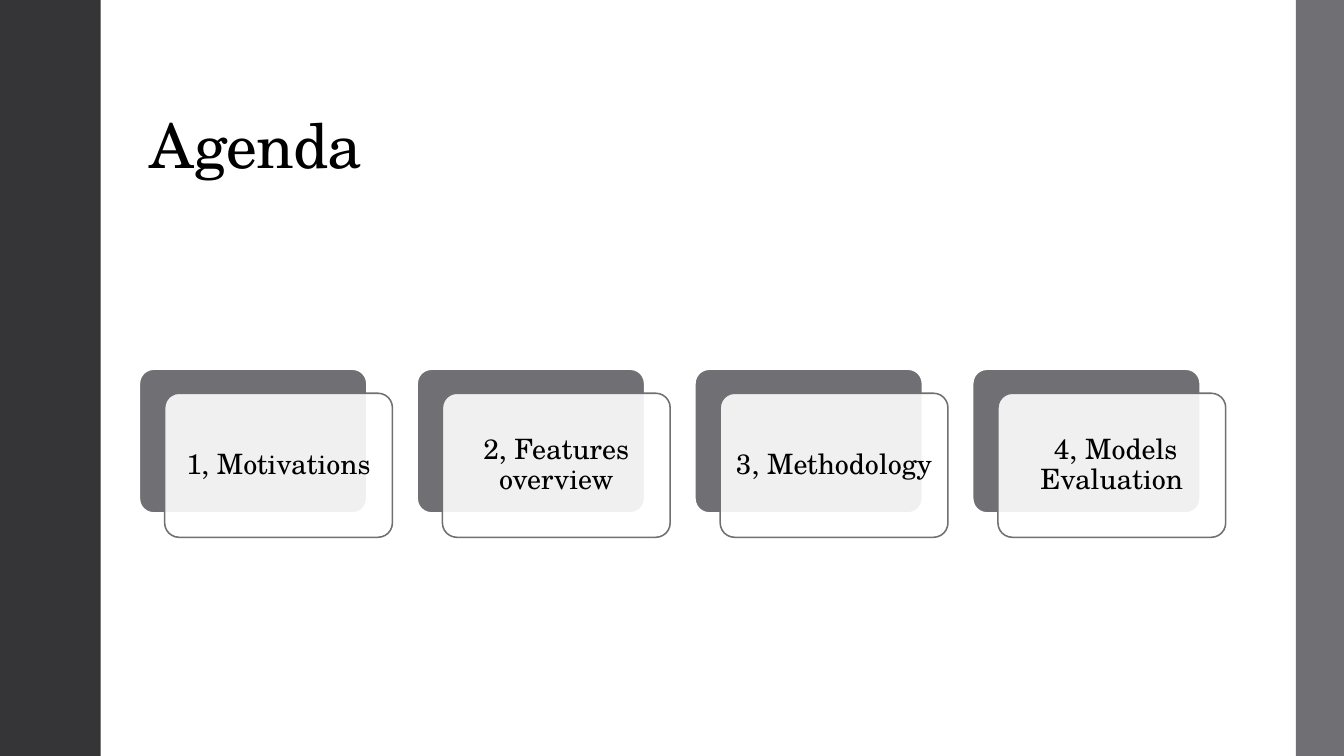
import pptx
import pptx.util
import pptx.dml.color
import pptx.enum.shapes
import pptx.enum.text
import pptx.oxml.ns
from lxml import etree

Cm = pptx.util.Cm
Pt = pptx.util.Pt
SHAPES = pptx.enum.shapes.MSO_SHAPE
ANCHORS = pptx.enum.text.MSO_ANCHOR
ALIGNMENTS = pptx.enum.text.PP_ALIGN

FONT = "TeX Gyre Schola"
COLOURS = {"dark": "353537", "grey": "6F6F74", "white": "FFFFFF", "text": "000000"}
TOPICS = ["1, Motivations", "2, Features overview", "3, Methodology", " 4, Models Evaluation"]


def colour(name):
    return pptx.dml.color.RGBColor.from_string(COLOURS[name])


def add_block(slide, kind, box, fill, line=None, line_width=0):
    shape = slide.shapes.add_shape(kind, *box)
    shape.shadow.inherit = False
    shape.fill.solid()
    shape.fill.fore_color.rgb = colour(fill)
    if line:
        shape.line.color.rgb = colour(line)
        shape.line.width = Pt(line_width)
    else:
        shape.line.fill.background()
    return shape


def set_opacity(shape, percent):
    fill_colour = shape.fill._xPr.find(".//" + pptx.oxml.ns.qn("a:srgbClr"))
    alpha = etree.SubElement(fill_colour, pptx.oxml.ns.qn("a:alpha"))
    alpha.set("val", str(percent * 1000))


def write_text(shape, text, size, anchor, alignment):
    frame = shape.text_frame
    frame.word_wrap = True
    frame.vertical_anchor = anchor
    frame.text = text
    paragraph = frame.paragraphs[0]
    paragraph.alignment = alignment
    paragraph.line_spacing = 0.9
    font = paragraph.runs[0].font
    font.name = FONT
    font.size = Pt(size)
    font.color.rgb = colour("text")
    return paragraph.runs[0]


def add_side_bars(slide, width, height):
    right_bar_left = Cm(32.66)
    add_block(slide, SHAPES.RECTANGLE, (0, 0, Cm(2.54), height), "dark")
    add_block(slide, SHAPES.RECTANGLE,
              (right_bar_left, 0, width - right_bar_left, height), "grey")


def add_title(slide, box, text):
    title = slide.shapes.add_textbox(*box)
    run = write_text(title, text, 44, ANCHORS.BOTTOM, ALIGNMENTS.LEFT)
    run._r.get_or_add_rPr().set("spc", "-50")


def add_topic_card(slide, left, top, width, height, topic):
    """Place a grey card with a translucent, captioned card shifted over it."""
    shift_x, shift_y = Cm(0.64), Cm(0.61)
    size = (width - shift_x, height - shift_y)
    back = add_block(slide, SHAPES.ROUNDED_RECTANGLE, (left, top, *size),
                     "grey", "white", 1.35)
    front = add_block(slide, SHAPES.ROUNDED_RECTANGLE,
                      (left + shift_x, top + shift_y, *size), "white", "grey", 1.1)
    back.adjustments[0] = front.adjustments[0] = 0.1
    set_opacity(front, 90)
    frame = front.text_frame
    frame.margin_left = frame.margin_right = Cm(0.2)
    frame.margin_top = frame.margin_bottom = Cm(0.2)
    write_text(front, topic, 20, ANCHORS.MIDDLE, ALIGNMENTS.CENTER)


def add_agenda(slide, left, top, width, height):
    gap = Cm(0.62)
    card_width = (width - gap * (len(TOPICS) - 1)) // len(TOPICS)
    for index, topic in enumerate(TOPICS):
        card_left = left + index * (card_width + gap)
        add_topic_card(slide, card_left, top, card_width, height, topic)


def main():
    presentation = pptx.Presentation()
    presentation.slide_width = Cm(33.87)
    presentation.slide_height = Cm(19.05)
    slide = presentation.slides.add_slide(presentation.slide_layouts[6])
    add_side_bars(slide, presentation.slide_width, presentation.slide_height)
    add_title(slide, (Cm(3.51), Cm(1.02), Cm(27.38), Cm(3.68)), "Agenda")
    add_agenda(slide, Cm(3.51), Cm(9.3), Cm(27.38), Cm(4.24))
    presentation.save("out.pptx")


if __name__ == "__main__":
    main()
